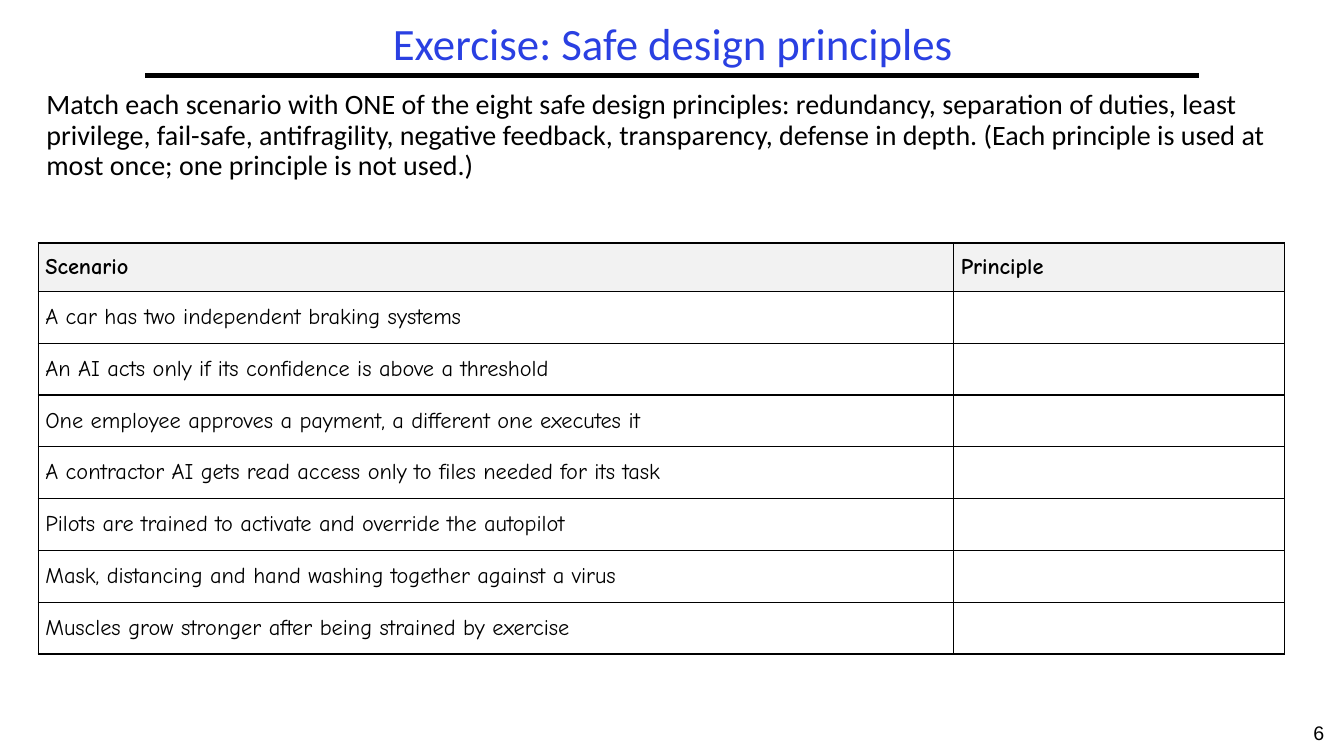
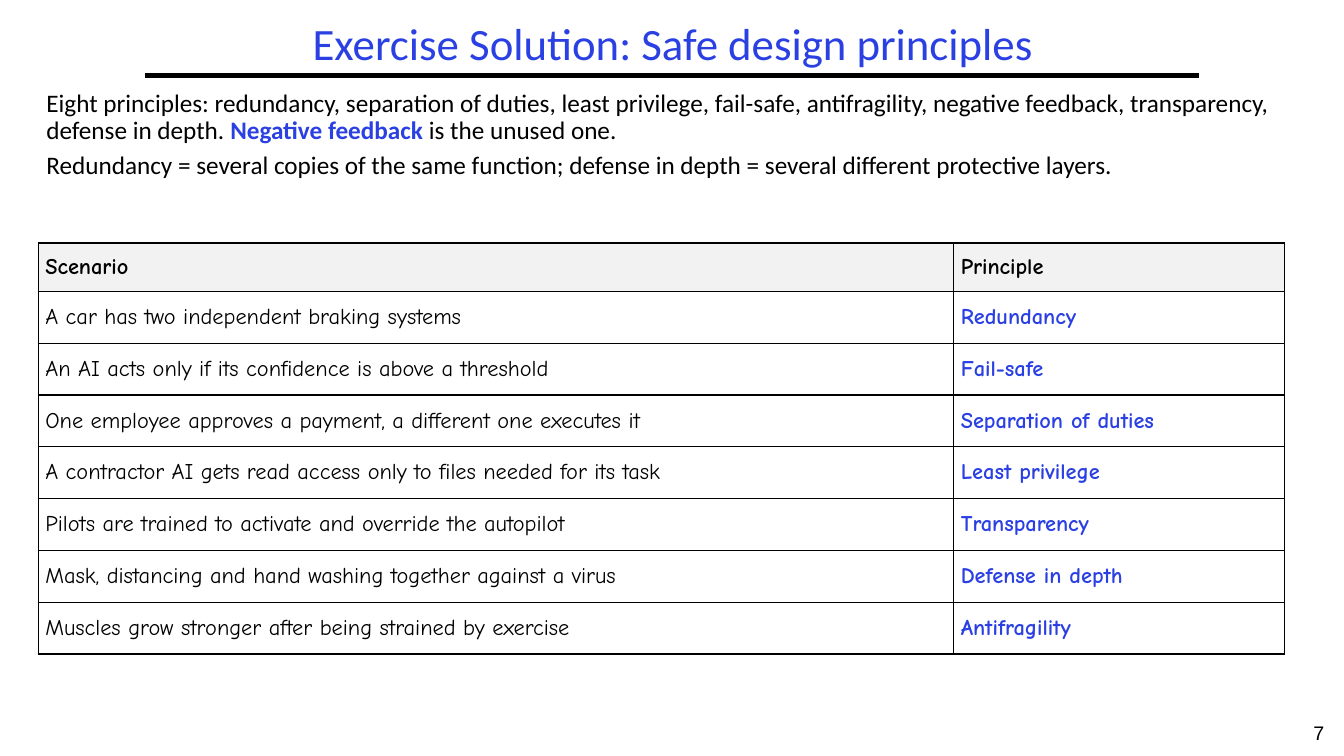
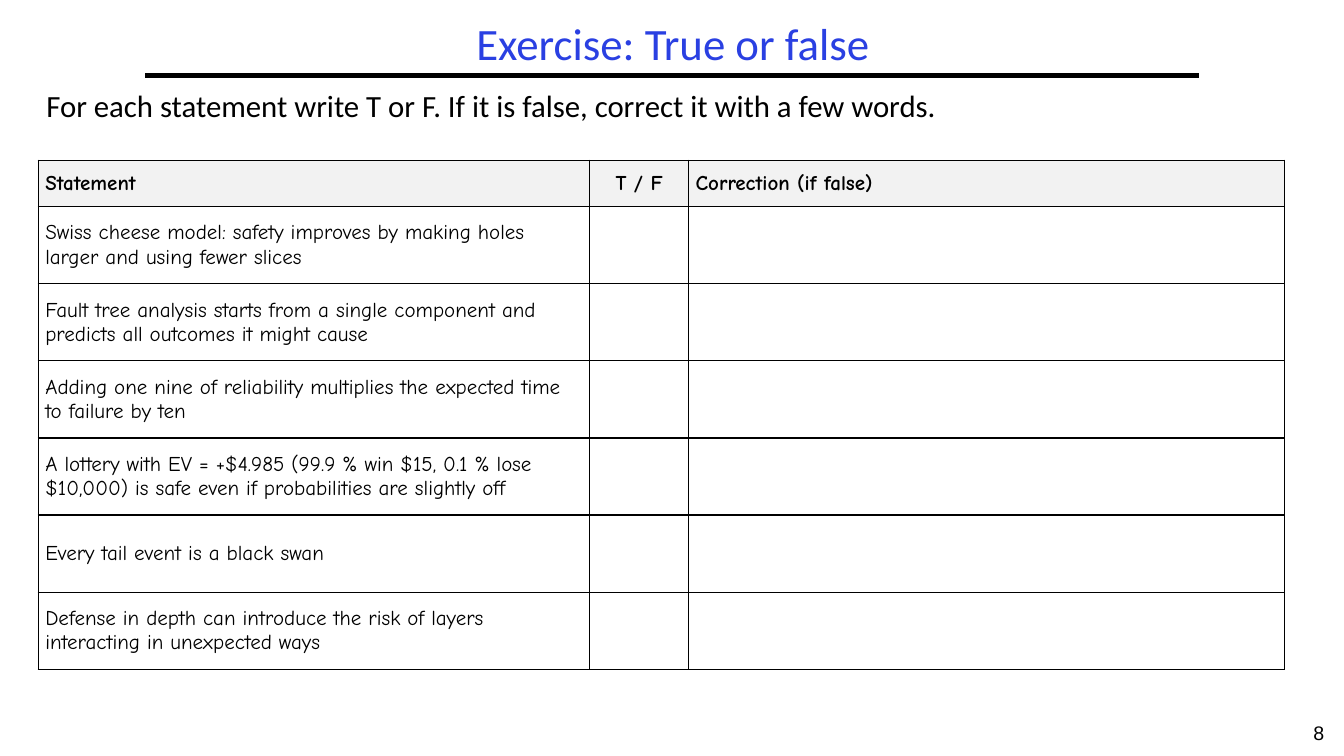
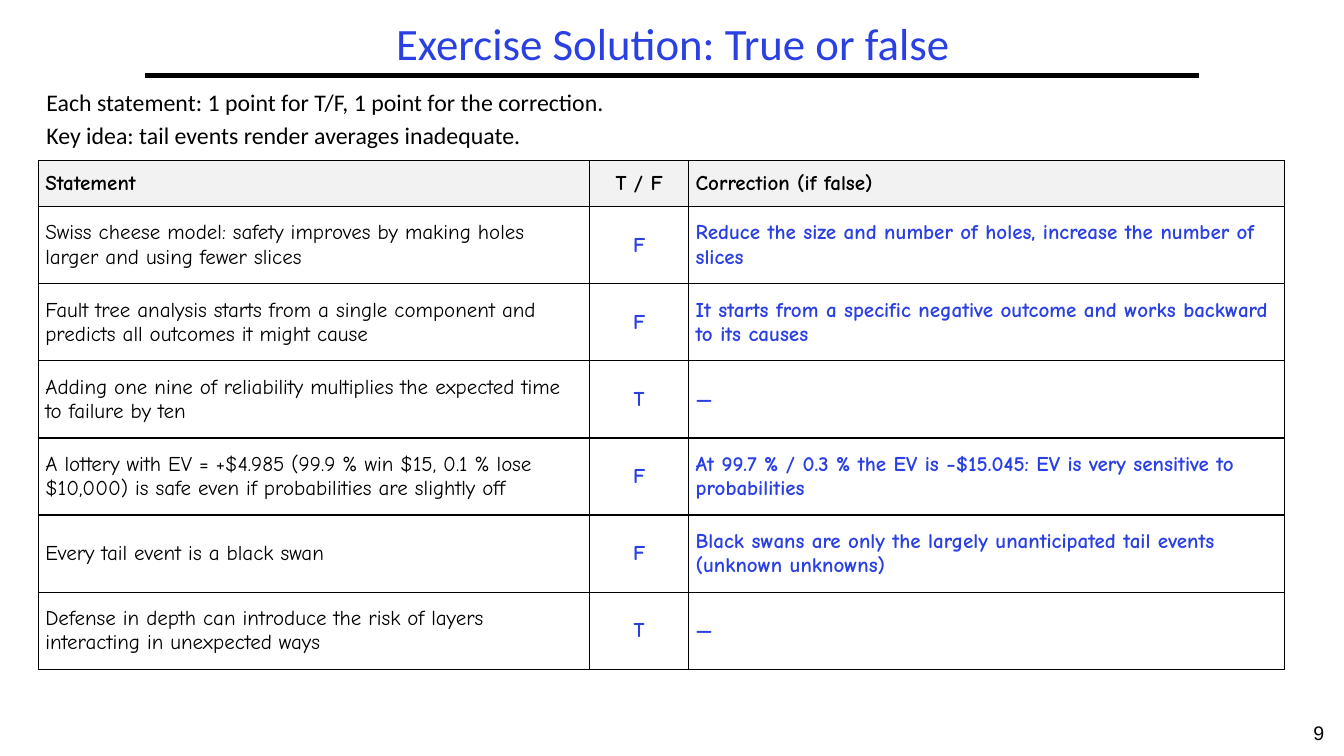
import dataclasses

import lxml.etree
import pptx
import pptx.dml.color
import pptx.enum.shapes
import pptx.enum.text
import pptx.oxml.ns
import pptx.util

Inches = pptx.util.Inches
Pt = pptx.util.Pt
ALIGN = pptx.enum.text.PP_ALIGN
ANCHOR = pptx.enum.text.MSO_ANCHOR


@dataclasses.dataclass(frozen=True)
class Theme:
    blue: str = "2A40E2"
    black: str = "000000"
    header_fill: str = "F2F2F2"
    text_font: str = "Calibri"
    table_font: str = "Comic Neue"
    number_font: str = "Arial"
    title_size: int = 32
    number_size: int = 14
    line_spacing: float = 0.9
    paragraph_gap: float = 0.3  # share of the type size
    rule_width: int = 3
    border_width: int = 1


THEME = Theme()
FIRST_NUMBER = 6

# Boxes are left, top, width, height in inches.
TITLE_BOX = (1.44, 0.17, 10.47, 0.58)
RULE = (1.44, 0.75, 11.89, 0.75)
NUMBER_BOX = (12.83, 7.1, 0.5, 0.4)


@dataclasses.dataclass(frozen=True)
class Exercise:
    """What an exercise slide and its solution slide have in common."""
    topic: str
    intro_box: tuple
    table_box: tuple
    header_height: float
    col_widths: tuple
    centred_cols: tuple
    table_size: int
    headers: tuple
    rows: tuple  # the prompt, then its answers


PRINCIPLES = Exercise(
    topic="Safe design principles",
    intro_box=(0.36, 0.85, 12.58, 1.55),
    table_box=(0.38, 2.41, 12.36, 4.08),
    header_height=0.48,
    col_widths=(9.08, 3.28),
    centred_cols=(),
    table_size=16,
    headers=("Scenario", "Principle"),
    rows=(
        ("A car has two independent braking systems", "Redundancy"),
        ("An AI acts only if its confidence is above a threshold", "Fail-safe"),
        ("One employee approves a payment, a different one executes it",
         "Separation of duties"),
        ("A contractor AI gets read access only to files needed for its task",
         "Least privilege"),
        ("Pilots are trained to activate and override the autopilot",
         "Transparency"),
        ("Mask, distancing and hand washing together against a virus",
         "Defense in depth"),
        ("Muscles grow stronger after being strained by exercise",
         "Antifragility"),
    ),
)

TRUE_FALSE = Exercise(
    topic="True or false",
    intro_box=(0.36, 0.85, 12.58, 0.73),
    table_box=(0.38, 1.59, 12.36, 5.05),
    header_height=0.46,
    col_widths=(5.47, 0.98, 5.91),
    centred_cols=(1,),
    table_size=15,
    headers=("Statement", "T / F", "Correction (if false)"),
    rows=(
        ("Swiss cheese model: safety improves by making holes larger and "
         "using fewer slices", "F",
         "Reduce the size and number of holes, increase the number of slices"),
        ("Fault tree analysis starts from a single component and predicts "
         "all outcomes it might cause", "F",
         "It starts from a specific negative outcome and works backward "
         "to its causes"),
        ("Adding one nine of reliability multiplies the expected time to "
         "failure by ten", "T", "—"),
        ("A lottery with EV = +$4.985 (99.9 % win $15, 0.1 % lose $10,000) "
         "is safe even if probabilities are slightly off", "F",
         "At 99.7 % / 0.3 % the EV is −$15.045: EV is very sensitive to "
         "probabilities"),
        ("Every tail event is a black swan", "F",
         "Black swans are only the largely unanticipated tail events "
         "(unknown unknowns)"),
        ("Defense in depth can introduce the risk of layers interacting in "
         "unexpected ways", "T", "—"),
    ),
)

# Exercise, solved or not, intro size, intro paragraphs of (text, key) runs.
SLIDES = (
    (PRINCIPLES, False, 20, (
        (("Match each scenario with ONE of the eight safe design principles: "
          "redundancy, separation of duties, least privilege, fail-safe, "
          "antifragility, negative feedback, transparency, defense in depth. "
          "(Each principle is used at most once; one principle is not used.)",
          False),),
    )),
    (PRINCIPLES, True, 18, (
        (("Eight principles: redundancy, separation of duties, least "
          "privilege, fail-safe, antifragility, negative feedback, "
          "transparency, defense in depth. ", False),
         ("Negative feedback", True),
         (" is the unused one.", False)),
        (("Redundancy = several copies of the same function; defense in "
          "depth = several different protective layers.", False),),
    )),
    (TRUE_FALSE, False, 22, (
        (("For each statement write T or F. If it is false, correct it with "
          "a few words.", False),),
    )),
    (TRUE_FALSE, True, 17, (
        (("Each statement: 1 point for T/F, 1 point for the correction.",
          False),),
        (("Key idea: tail events render averages inadequate.", False),),
    )),
)


def rgb(color):
    return pptx.dml.color.RGBColor.from_string(color)


def place(sp, box):
    sp.left, sp.top, sp.width, sp.height = (Inches(v) for v in box)


def add_run(p, text, font, size, color=THEME.black, bold=False):
    r = p.add_run()
    r.text = text
    r.font.name = font
    r.font.size = Pt(size)
    r.font.bold = bold
    r.font.color.rgb = rgb(color)


def add_title(slide, box, text):
    sp = slide.shapes.title
    place(sp, box)
    tf = sp.text_frame
    tf.auto_size = pptx.enum.text.MSO_AUTO_SIZE.NONE
    tf.vertical_anchor = ANCHOR.MIDDLE
    p = tf.paragraphs[0]
    p.alignment = ALIGN.CENTER
    p.line_spacing = THEME.line_spacing
    add_run(p, text, THEME.text_font, THEME.title_size, THEME.blue)


def add_rule(slide, ends):
    line = slide.shapes.add_connector(
        pptx.enum.shapes.MSO_CONNECTOR.STRAIGHT, *(Inches(v) for v in ends))
    line.line.color.rgb = rgb(THEME.black)
    line.line.width = Pt(THEME.rule_width)
    lxml.etree.SubElement(line.element.spPr, pptx.oxml.ns.qn("a:effectLst"))


def add_number(slide, box, number):
    sp = slide.shapes.add_textbox(*(Inches(v) for v in box))
    tf = sp.text_frame
    tf.word_wrap = True
    p = tf.paragraphs[0]
    p.alignment = ALIGN.CENTER
    add_run(p, str(number), THEME.number_font, THEME.number_size)


def add_intro(slide, box, size, paragraphs):
    """Fill the body placeholder with unbulleted text; key runs are blue."""
    sp = slide.placeholders[1]
    place(sp, box)
    tf = sp.text_frame
    tf.auto_size = pptx.enum.text.MSO_AUTO_SIZE.NONE
    for i, runs in enumerate(paragraphs):
        p = tf.add_paragraph() if i else tf.paragraphs[0]
        p.line_spacing = THEME.line_spacing
        p.space_before = Pt(size * THEME.paragraph_gap if i else 0)
        pPr = p._p.get_or_add_pPr()
        pPr.set("marL", "0")
        pPr.set("indent", "0")
        lxml.etree.SubElement(pPr, pptx.oxml.ns.qn("a:buNone"))
        for text, key in runs:
            add_run(p, text, THEME.text_font, size,
                    THEME.blue if key else THEME.black, key)


def add_borders(cell):
    qn = pptx.oxml.ns.qn
    tcPr = cell._tc.get_or_add_tcPr()
    for side in ("lnL", "lnR", "lnT", "lnB"):
        ln = lxml.etree.SubElement(tcPr, qn("a:" + side),
                                   w=str(Pt(THEME.border_width)))
        fill = lxml.etree.SubElement(ln, qn("a:solidFill"))
        lxml.etree.SubElement(fill, qn("a:srgbClr"), val=THEME.black)


def format_cell(cell, is_header):
    cell.margin_left = cell.margin_right = Inches(0.07)
    cell.margin_top = cell.margin_bottom = Inches(0.03)
    cell.vertical_anchor = ANCHOR.MIDDLE
    add_borders(cell)
    if is_header:
        cell.fill.solid()
        cell.fill.fore_color.rgb = rgb(THEME.header_fill)
    else:
        cell.fill.background()


def add_answer_table(slide, box, exercise, solved):
    """Draw the table; answer columns stay empty until solved."""
    rows = (exercise.headers,) + exercise.rows
    table = slide.shapes.add_table(
        len(rows), len(exercise.headers), *(Inches(v) for v in box)).table
    table.first_row = table.horz_banding = False
    for col, width in zip(table.columns, exercise.col_widths):
        col.width = Inches(width)
    row_height = (box[3] - exercise.header_height) / len(exercise.rows)
    for i, texts in enumerate(rows):
        is_header = i == 0
        table.rows[i].height = Inches(
            exercise.header_height if is_header else row_height)
        for j, text in enumerate(texts):
            cell = table.cell(i, j)
            format_cell(cell, is_header)
            is_answer = j > 0 and not is_header
            if is_answer and not solved:
                continue
            p = cell.text_frame.paragraphs[0]
            if j in exercise.centred_cols:
                p.alignment = ALIGN.CENTER
            add_run(p, text, THEME.table_font, exercise.table_size,
                    THEME.blue if is_answer else THEME.black,
                    is_header or is_answer)


def add_exercise_slide(prs, number, exercise, solved, size, paragraphs):
    slide = prs.slides.add_slide(prs.slide_layouts[1])
    kind = "Exercise Solution" if solved else "Exercise"
    add_rule(slide, RULE)
    add_number(slide, NUMBER_BOX, number)
    add_title(slide, TITLE_BOX, f"{kind}: {exercise.topic}")
    add_intro(slide, exercise.intro_box, size, paragraphs)
    add_answer_table(slide, exercise.table_box, exercise, solved)


def main():
    prs = pptx.Presentation()
    prs.slide_width = Inches(13.33)
    prs.slide_height = Inches(7.5)
    for number, content in enumerate(SLIDES, FIRST_NUMBER):
        add_exercise_slide(prs, number, *content)
    prs.save("out.pptx")


if __name__ == "__main__":
    main()
